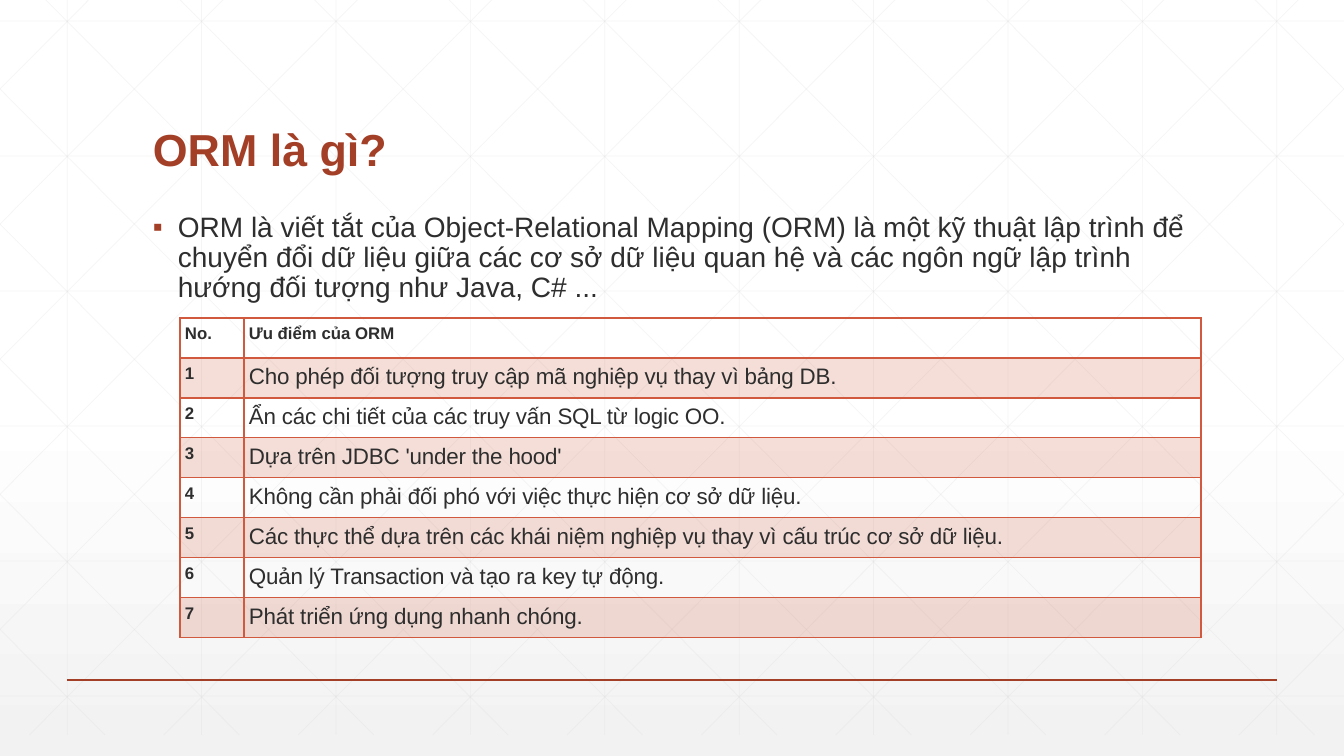
from copy import deepcopy
from dataclasses import dataclass

from lxml.etree import SubElement
from pptx import Presentation
from pptx.dml.color import RGBColor
from pptx.enum.shapes import MSO_CONNECTOR
from pptx.enum.text import MSO_ANCHOR
from pptx.oxml import parse_xml
from pptx.oxml.ns import nsdecls, qn
from pptx.util import Emu, Pt


@dataclass(frozen=True)
class Theme:
    """Colours, font and type sizes of the slide."""
    font: str = "Arial"
    accent: str = "A43F27"
    table: str = "D15A3E"
    ink: str = "2D2E2D"
    grid: str = "D9D9D9"
    background: tuple = ((0, "FFFFFF"), (0.53, "FFFFFF"), (1, "F2F2F2"))
    title_size: int = 32
    body_size: int = 20
    cell_size: int = 16
    label_size: int = 12


THEME = Theme()
WIDTH, HEIGHT = 1344, 756
TITLE = "ORM là gì?"
DEFINITION = (
    "ORM là viết tắt của Object-Relational Mapping (ORM) là một kỹ thuật lập trình để "
    "chuyển đổi dữ liệu giữa các cơ sở dữ liệu quan hệ và các ngôn ngữ lập trình "
    "hướng đối tượng như Java, C# ..."
)
HEADER = ("No.", "Ưu điểm của ORM")
ADVANTAGES = (
    "Cho phép đối tượng truy cập mã nghiệp vụ thay vì bảng DB.",
    "Ẩn các chi tiết của các truy vấn SQL từ logic OO.",
    "Dựa trên JDBC 'under the hood'",
    "Không cần phải đối phó với việc thực hiện cơ sở dữ liệu.",
    "Các thực thể dựa trên các khái niệm nghiệp vụ thay vì cấu trúc cơ sở dữ liệu.",
    "Quản lý Transaction và tạo ra key tự động.",
    "Phát triển ứng dụng nhanh chóng.",
)


def px(pixels):
    """Turn pixels into EMU."""
    return Emu(round(pixels * 914400 / 100.8))


def set_opacity(element, percent):
    """Make the solid colours below an element translucent."""
    for color in element.iter(qn("a:srgbClr")):
        SubElement(color, qn("a:alpha"), val=str(percent * 1000))


def add_line(shapes, start, end, color, points, opacity=100):
    """Draw a straight line between two points."""
    line = shapes.add_connector(MSO_CONNECTOR.STRAIGHT, *map(px, start + end))
    line.line.color.rgb = RGBColor.from_string(color)
    line.line.width = Pt(points)
    properties = line._element.spPr
    if opacity < 100:
        set_opacity(properties, opacity)
    SubElement(properties, qn("a:effectLst"))


def format_paragraph(paragraph, size, color, bold=False, spacing=0.9):
    """Set the line spacing and the font of a paragraph."""
    paragraph.line_spacing = spacing
    for run in paragraph.runs:
        run.font.name = THEME.font
        run.font.size = Pt(size)
        run.font.bold = bold
        run.font.color.rgb = RGBColor.from_string(color)


def add_text(slide, box, text, anchor):
    """Add a wrapping text box and return its paragraph."""
    frame = slide.shapes.add_textbox(*map(px, box)).text_frame
    frame.text = text
    frame.word_wrap = True
    frame.vertical_anchor = anchor
    return frame.paragraphs[0]


def paint_background(slide):
    """Fill the slide with a vertical gradient."""
    fill = slide.background.fill
    fill.gradient()
    fill.gradient_angle = 270
    first_stop = slide._element.find(".//" + qn("a:gs"))
    first_stop.addnext(deepcopy(first_stop))
    for stop, (position, color) in zip(fill.gradient_stops, THEME.background):
        stop.position = position
        stop.color.rgb = RGBColor.from_string(color)


def add_grid(slide, box):
    """Draw the square grid and its mirrored diagonals, clipped to the box sides."""
    left, top, width, height = box
    right, bottom, step = left + width, top + height, width / 10
    shapes = slide.shapes.add_group_shape().shapes
    lines = []
    for column in range(10):
        x = left + step * (column + 0.5)
        lines.append(((x, top), (x, bottom)))
    for row in range(6):
        y = top + 42 + 135 * row
        lines.append(((left, y), (right, y)))
    run = height - 4
    for diagonal in range(-5, 10):
        x = left + 25 + step * diagonal
        begin, end = max(x, left), min(x + run, right)
        begin_y, end_y = (top + (edge - x) * height / run for edge in (begin, end))
        lines.append(((begin, begin_y), (end, end_y)))
        lines.append(((left + right - begin, begin_y), (left + right - end, end_y)))
    for start, end in lines:
        add_line(shapes, start, end, THEME.grid, 0.5, 25)


def add_title(slide, box):
    """Add the slide title."""
    paragraph = add_text(slide, box, TITLE, MSO_ANCHOR.BOTTOM)
    format_paragraph(paragraph, THEME.title_size, THEME.accent, bold=True)


def add_definition(slide, box):
    """Add the bulleted definition."""
    paragraph = add_text(slide, box, DEFINITION, MSO_ANCHOR.TOP)
    format_paragraph(paragraph, THEME.body_size, THEME.ink)
    paragraph.space_before = Pt(18)
    properties = paragraph._p.get_or_add_pPr()
    properties.set("marL", str(px(25)))
    properties.set("indent", str(px(-25)))
    color = SubElement(properties, qn("a:buClr"))
    SubElement(color, qn("a:srgbClr"), val=THEME.accent)
    SubElement(properties, qn("a:buFont"), typeface=THEME.font)
    SubElement(properties, qn("a:buChar"), char="▪")


def add_borders(cell, top, bottom):
    """Draw the four borders of a cell."""
    properties = cell._tc.get_or_add_tcPr()
    for index, (side, points) in enumerate(zip("LRTB", (1, 1, top, bottom))):
        properties.insert(index, parse_xml(
            f'<a:ln{side} {nsdecls("a")} w="{Pt(points)}"><a:solidFill>'
            f'<a:srgbClr val="{THEME.table}"/></a:solidFill></a:ln{side}>'))


def format_cell(cell, text, row, column):
    """Set the text, fill and borders of one table cell."""
    cell.text_frame.text = text
    cell.margin_left = cell.margin_right = cell.margin_top = cell.margin_bottom = px(5)
    label = row == 0 or column == 0
    paragraph = cell.text_frame.paragraphs[0]
    size = THEME.label_size if label else THEME.cell_size
    format_paragraph(paragraph, size, THEME.ink, label, 1.07)
    paragraph.space_after = Pt(11.2 if label else 8)
    if not label:
        paragraph.runs[0].font._element.set("spc", "-10")
    if row % 2:
        cell.fill.solid()
        cell.fill.fore_color.rgb = RGBColor.from_string(THEME.table)
        set_opacity(cell._tc.tcPr, 20)
    else:
        cell.fill.background()
    add_borders(cell, 2 if row == 1 else 1, 2 if row == 0 else 1)


def add_advantages(slide, box):
    """Add the numbered table of advantages."""
    rows = [HEADER, *((str(number), text) for number, text in enumerate(ADVANTAGES, 1))]
    table = slide.shapes.add_table(len(rows), 2, *map(px, box)).table
    table.first_row = table.horz_banding = False
    number_width = 64
    table.columns[0].width = px(number_width)
    table.columns[1].width = px(box[2] - number_width)
    for row, texts in enumerate(rows):
        table.rows[row].height = px(box[3] / len(rows))
        for column, text in enumerate(texts):
            format_cell(table.cell(row, column), text, row, column)


def build_definition_slide(presentation):
    """Place every region of the slide."""
    slide = presentation.slides.add_slide(presentation.slide_layouts[6])
    paint_background(slide)
    add_grid(slide, (0, -21, WIDTH, HEIGHT))
    add_line(slide.shapes, (67, 680), (WIDTH - 67, 680), THEME.accent, 1)
    add_title(slide, (143, 55, 1058, 126))
    add_definition(slide, (143, 208, 1058, 430))
    add_advantages(slide, (180, 318, 1021, 320))


presentation = Presentation()
presentation.slide_width, presentation.slide_height = px(WIDTH), px(HEIGHT)
build_definition_slide(presentation)
presentation.save("out.pptx")
